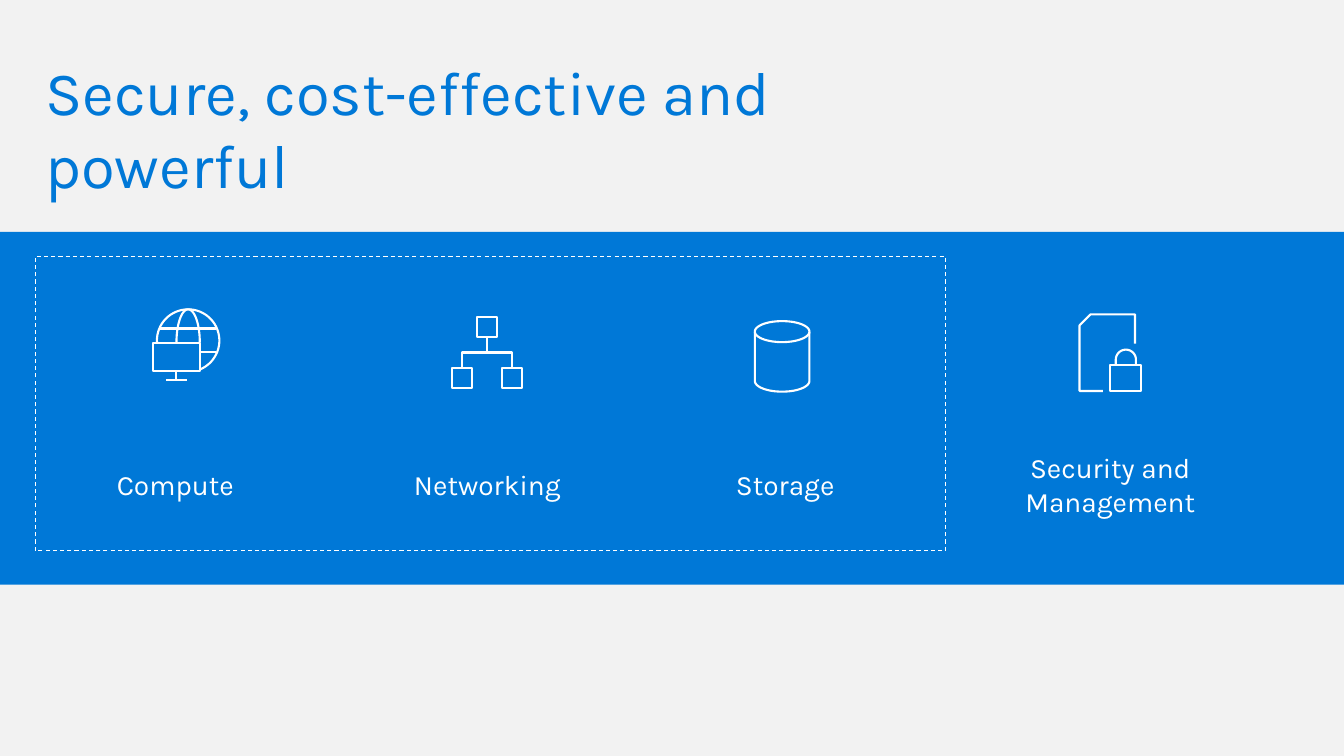
import math

from pptx import Presentation
from pptx.dml.color import RGBColor
from pptx.enum.dml import MSO_LINE
from pptx.enum.shapes import MSO_SHAPE
from pptx.enum.text import MSO_ANCHOR, PP_ALIGN
from pptx.util import Pt

RECT = MSO_SHAPE.RECTANGLE
DASH = MSO_LINE.DASH
TOP = MSO_ANCHOR.TOP
LEFT, CENTER = PP_ALIGN.LEFT, PP_ALIGN.CENTER

FONT = "Karla"
COLORS = {"page": "F2F2F2", "blue": "0078D7", "white": "FFFFFF"}


def arc(x, y, rx, ry, start, end):
    """Points on an ellipse about (x, y); degrees run clockwise from the right."""
    count = max(2, round(abs(end - start) / 5))
    turns = [math.radians(start + (end - start) * i / count) for i in range(count + 1)]
    return [(x + rx * math.cos(t), y + ry * math.sin(t)) for t in turns]


def box(x, y, w, h):
    return [(x, y), (x + w, y), (x + w, y + h), (x, y + h), (x, y)]


# Icon strokes, in points from the icon's own corner
GLOBE = [
    box(0, 23.8, 33.5, 20.1),
    arc(25.2, 22.3, 22.3, 22.3, 176, 428),
    arc(25.2, 23.8, 8.35, 23.8, 180, 360),
    [(5, 13.7), (45.4, 13.7)],
    [(33.5, 30.2), (45.4, 30.2)],
    [(16.6, 43.9), (16.6, 50.4)],
    [(9.4, 50.4), (24.5, 50.4)],
]
NODE = 14.4
NETWORK = [box(x, y, NODE, NODE) for x, y in [(18, 0), (0, 36), (36, 36)]] + [
    [(25.2, NODE), (25.2, 25.2)],
    [(7.2, 36), (7.2, 25.2), (43.2, 25.2), (43.2, 36)],
]
DRUM = [
    arc(19.5, 7.5, 19.5, 7.5, 0, 360),
    [(0, 7.5)] + arc(19.5, 42.7, 19.5, 7.7, 180, 0) + [(39, 7.5)],
]
LOCK = [
    [(16.6, 54.7), (0, 54.7), (0, 7.9), (7.9, 0), (39.6, 0), (39.6, 20.9)],
    box(21.6, 36, 22.3, 18.7),
    [(25.9, 36)] + arc(33.1, 32.4, 7.2, 7.2, 180, 360) + [(40.3, 36)],
]

TITLE = "Secure, cost-effective and powerful"
# label, left, width, line spacing, icon strokes, icon corner
ITEMS = [
    ("Compute", 69.1, 112.3, 1.5, GLOBE, (109.2, 221)),
    ("Networking", 283, 130.3, 1.5, NETWORK, (322.6, 226.6)),
    ("Storage", 514.1, 93.6, 1.5, DRUM, (539.2, 229.4)),
    ("Security and Management", 708.5, 169.2, 1, LOCK, (771.1, 224.6)),
]
LABEL_Y = 318.2
LABEL_H = 44


def rgb(name):
    return RGBColor.from_string(COLORS[name])


def put(shape, x, y, w, h):
    shape.left, shape.top, shape.width, shape.height = Pt(x), Pt(y), Pt(w), Pt(h)


def write(shape, text, size, color, align=LEFT, spacing=1, inset=3.6):
    frame = shape.text_frame
    frame.word_wrap = True
    frame.vertical_anchor = TOP
    frame.margin_top = frame.margin_bottom = Pt(inset)
    frame.text = text
    par = frame.paragraphs[0]
    par.alignment = align
    par.line_spacing = spacing
    font = par.runs[0].font
    font.name, font.size, font.color.rgb = FONT, Pt(size), rgb(color)


def outline(shape, width):
    shape.shadow.inherit = False
    shape.fill.background()
    shape.line.color.rgb = rgb("white")
    shape.line.width = Pt(width)


def draw(shapes, strokes, corner):
    """Draw all strokes of an icon as one outline, on a grid of 0.01 pt."""
    grid = [[(x * 100, y * 100) for x, y in stroke] for stroke in strokes]
    pen = shapes.build_freeform(*grid[0][0], scale=Pt(1) / 100)
    for i, stroke in enumerate(grid):
        if i:
            pen.move_to(*stroke[0])
        pen.add_line_segments(stroke[1:], close=False)
    outline(pen.convert_to_shape(Pt(corner[0]), Pt(corner[1])), 1.5)


def main():
    deck = Presentation()
    deck.slide_width, deck.slide_height = Pt(960), Pt(540)
    slide = deck.slides.add_slide(deck.slide_layouts[5])
    slide.background.fill.solid()
    slide.background.fill.fore_color.rgb = rgb("page")
    shapes = slide.shapes

    put(shapes.title, 25.2, 31, 706.3, 60.5)
    write(shapes.title, TITLE, 44, "blue", inset=7.2)

    band = shapes.add_shape(RECT, 0, Pt(165.6), deck.slide_width, Pt(252))
    band.shadow.inherit = False
    band.fill.solid()
    band.fill.fore_color.rgb = rgb("blue")
    band.line.fill.background()

    for text, x, width, spacing, strokes, corner in ITEMS:
        label = shapes.add_textbox(Pt(x), Pt(LABEL_Y), Pt(width), Pt(LABEL_H))
        write(label, text, 20, "white", align=CENTER, spacing=spacing)
        draw(shapes, strokes, corner)

    group = shapes.add_shape(RECT, Pt(25.2), Pt(183), Pt(650), Pt(210.5))
    outline(group, 0.75)
    group.line.dash_style = DASH

    deck.save("out.pptx")


if __name__ == "__main__":
    main()
